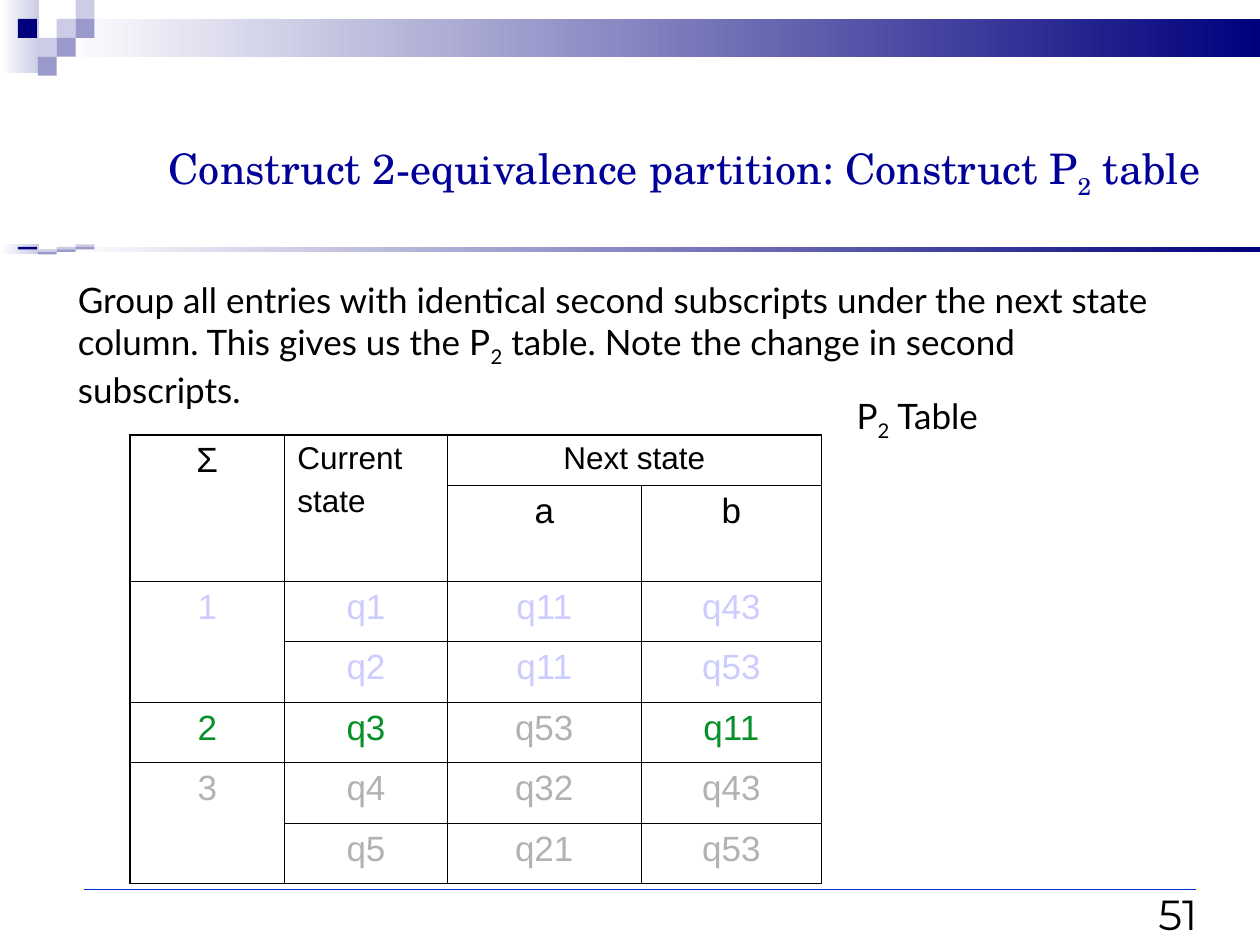
"""Build the slide that shows the P2 table of a state machine."""
from lxml.etree import SubElement
from pptx import Presentation
from pptx.dml.color import RGBColor
from pptx.enum.shapes import MSO_CONNECTOR as Link, MSO_SHAPE as Shape
from pptx.enum.text import MSO_ANCHOR as Anchor, PP_ALIGN as Align
from pptx.oxml.ns import qn
from pptx.util import Inches, Pt

BLACK = RGBColor(0x00, 0x00, 0x00)
WHITE = RGBColor(0xFF, 0xFF, 0xFF)
NAVY = RGBColor(0x00, 0x00, 0x7D)
INK = RGBColor(0x00, 0x00, 0x99)
BLUE = RGBColor(0x00, 0x33, 0xCC)
PALE = RGBColor(0xCC, 0xCC, 0xE6)
MID = RGBColor(0x99, 0x99, 0xCC)
LILAC = RGBColor(0xCC, 0xCC, 0xFF)
GREEN = RGBColor(0x08, 0x91, 0x28)
GRAY = RGBColor(0xB2, 0xB2, 0xB2)

UNIT = 0.15
TILES = [(3, 1, PALE), (4, 0, PALE), (4, 1, MID), (2, 2, PALE),
         (0.95, 1, NAVY), (3, 2, MID), (2, 3, MID)]

COLS = [1.23, 1.29, 1.54, 1.43]
ROWS = [0.4, 0.76] + [0.48] * 5
HEAD = [["Σ", "Current\nstate", "Next state", ""], ["", "", "a", "b"]]
BODY = [["1", "q1", "q11", "q43"], ["", "q2", "q11", "q53"],
        ["2", "q3", "q53", "q11"],
        ["3", "q4", "q32", "q43"], ["", "q5", "q21", "q53"]]
HUES = [LILAC, LILAC, GREEN, GRAY, GRAY]
SPANS = [(0, 0, 1, 0), (0, 1, 1, 1), (0, 2, 0, 3), (2, 0, 3, 0), (5, 0, 6, 0)]


class Deck:
    def __init__(self):
        self.show = Presentation()
        self.show.slide_width, self.show.slide_height = Inches(10), Inches(7.5)
        self.slide = self.show.slides.add_slide(self.show.slide_layouts[6])
        self.shapes = self.slide.shapes
        self.thick, self.thin = Pt(1.08), Pt(0.45)

    def style(self, para, size, face, color, align=Align.LEFT):
        para.alignment = align
        para.font.size, para.font.name = Pt(size), face
        para.font.color.rgb = color

    def block(self, x, y, w, h, color, fade=False):
        box = self.shapes.add_shape(Shape.RECTANGLE, Inches(x), Inches(y),
                                    Inches(w), Inches(h))
        box.shadow.inherit = False
        box.line.fill.background()
        if fade:
            box.fill.gradient()
            box.fill.gradient_angle = 0
            for stop, tone in zip(box.fill.gradient_stops, (WHITE, color)):
                stop.color.rgb = tone
        else:
            box.fill.solid()
            box.fill.fore_color.rgb = color

    def band(self, top, step):
        self.block(0, top, 0.31, 3.85 * step, PALE, True)
        self.block(3 * UNIT, top + step, 10 - 3 * UNIT, 2 * step, NAVY, True)
        for col, row, color in TILES:
            self.block(col * UNIT, top + row * step, UNIT, step, color)

    def rule(self, x, y, end, color):
        line = self.shapes.add_connector(Link.STRAIGHT, Inches(x), Inches(y),
                                         Inches(end), Inches(y))
        line.line.color.rgb, line.line.width = color, Pt(0.75)
        SubElement(line._element.spPr, qn("a:effectLst"))

    def text(self, x, y, w, h, parts, size, face, color=BLACK,
             align=Align.LEFT, anchor=Anchor.TOP):
        frame = self.shapes.add_textbox(Inches(x), Inches(y), Inches(w),
                                        Inches(h)).text_frame
        frame.word_wrap, frame.vertical_anchor = True, anchor
        para = frame.paragraphs[0]
        self.style(para, size, face, color, align)
        for i, part in enumerate(parts):
            run = para.add_run()
            run.text = part
            if i % 2:
                run._r.get_or_add_rPr().set("baseline", "-25000")

    def edges(self, cell, outer):
        props = cell._tc.get_or_add_tcPr()
        for side in "LRTB":
            width = self.thick if side in outer else self.thin
            line = SubElement(props, qn("a:ln" + side), w=str(width))
            fill = SubElement(line, qn("a:solidFill"))
            SubElement(fill, qn("a:srgbClr"), val=str(BLACK))

    def cell(self, cell, words, size, color, align, outer):
        self.edges(cell, outer)
        cell.fill.background()
        cell.text = words
        for i, para in enumerate(cell.text_frame.paragraphs):
            if i:
                para.space_before = Pt(4.5)
            self.style(para, size, "Arial", color, align)

    def table(self, x, y):
        grid = self.shapes.add_table(len(ROWS), len(COLS), Inches(x), Inches(y),
                                     Inches(sum(COLS)), Inches(sum(ROWS))).table
        grid.first_row = grid.horz_banding = False
        for col, width in zip(grid.columns, COLS):
            col.width = Inches(width)
        for row, height in zip(grid.rows, ROWS):
            row.height = Inches(height)
        for r, row in enumerate(HEAD + BODY):
            for c, words in enumerate(row):
                color = BLACK if r < 2 else HUES[r - 2]
                if (r, c) == (4, 2):
                    color = GRAY
                outer = ("L" * (c == 0) + "R" * (c == len(COLS) - 1)
                         + "T" * (r == 0) + "B" * (r == len(ROWS) - 1))
                size = 18 if r == 0 and c else 20
                align = Align.LEFT if (r, c) == (0, 1) else Align.CENTER
                self.cell(grid.cell(r, c), words, size, color, align, outer)
        for top, left, low, right in SPANS:
            grid.cell(top, left).merge(grid.cell(low, right))


def main():
    deck = Deck()
    deck.band(0, UNIT)
    deck.band(1.94, 0.02)
    deck.rule(0.67, 7.06, 9.49, BLUE)
    deck.text(8.86, 6.93, 0.74, 0.57, ["51"], 24, "Montserrat",
              align=Align.RIGHT, anchor=Anchor.BOTTOM)
    deck.text(1.24, 0.92, 8.52, 0.88,
              ["Construct 2-equivalence partition: Construct P", "2", " table"],
              24, "TeX Gyre Schola", INK, anchor=Anchor.MIDDLE)
    deck.text(0.52, 2.16, 8.83, 1.15,
              ["Group all entries with identical second subscripts under the "
               "next state column. This gives us the P", "2",
               " table. Note the change in second subscripts."], 20, "Lato")
    deck.table(1.03, 3.45)
    deck.text(6.7, 3.08, 1.81, 0.48, ["P", "2", " Table"], 20, "Lato")
    deck.show.save("out.pptx")


if __name__ == "__main__":
    main()
